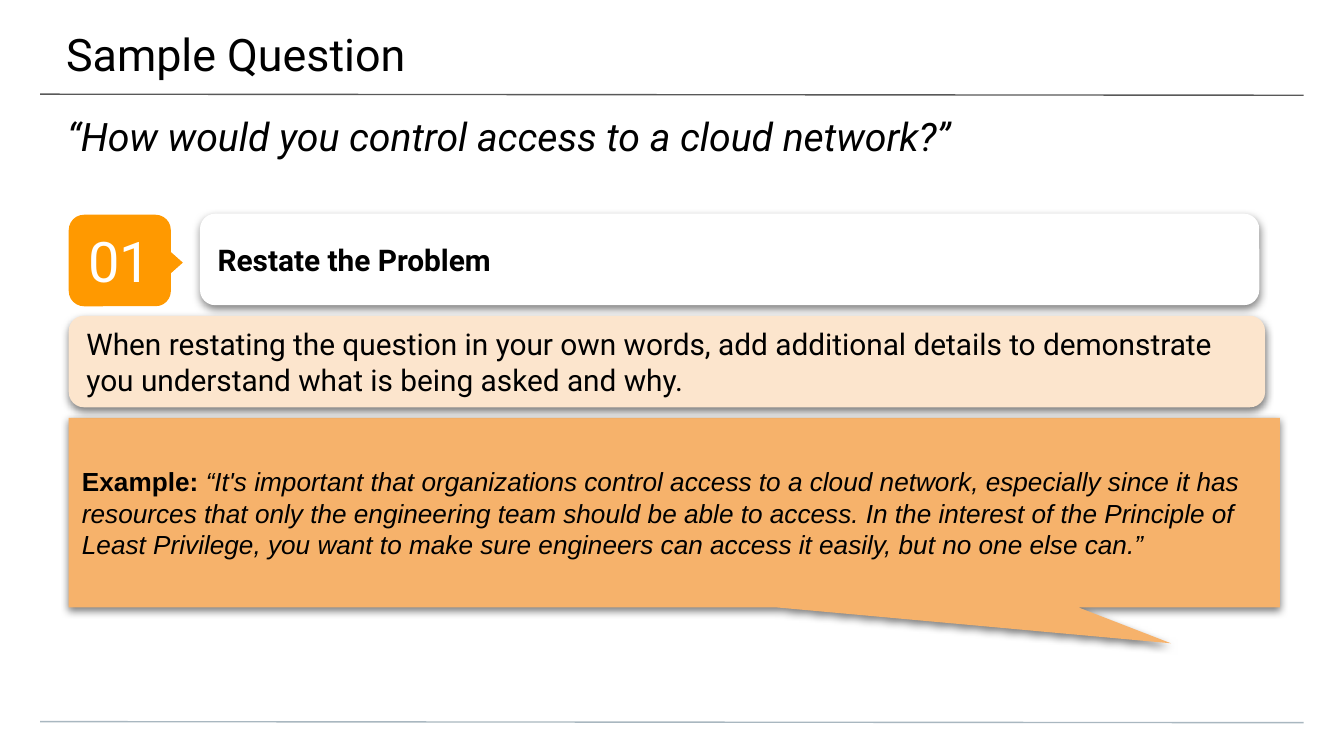
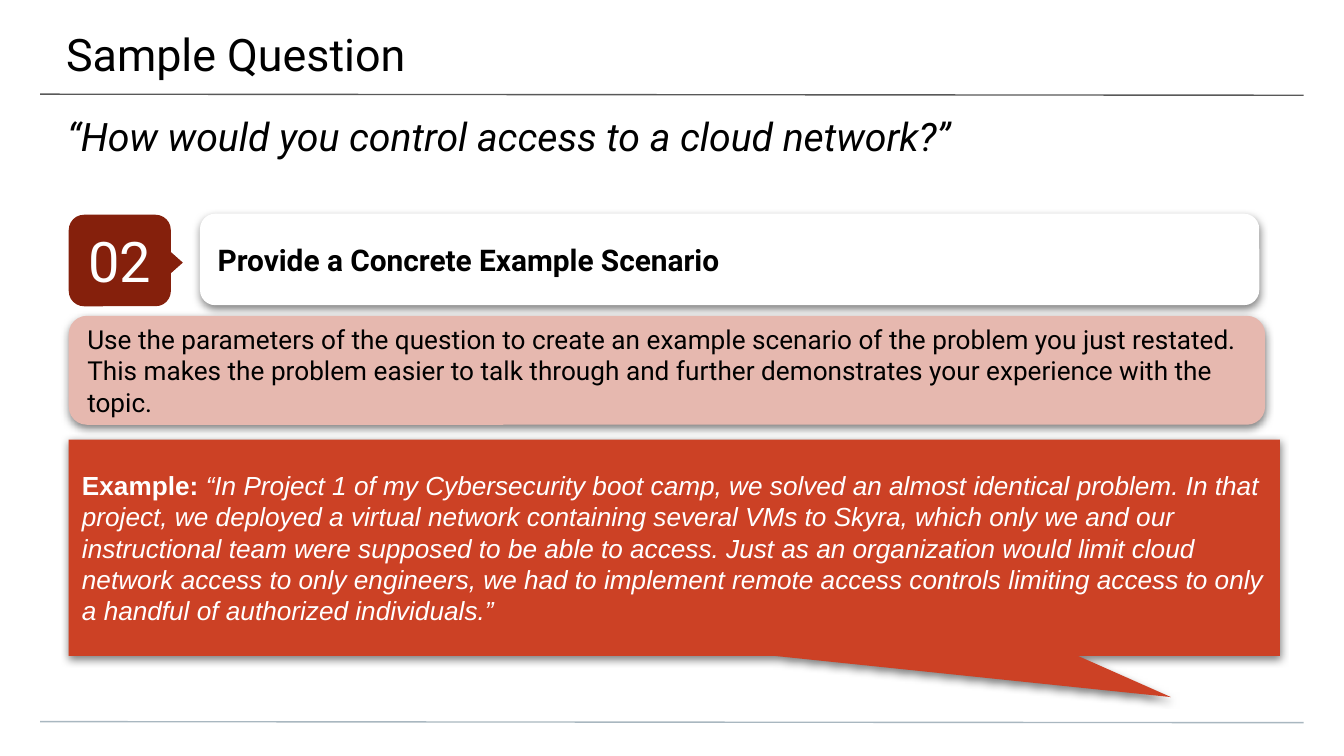
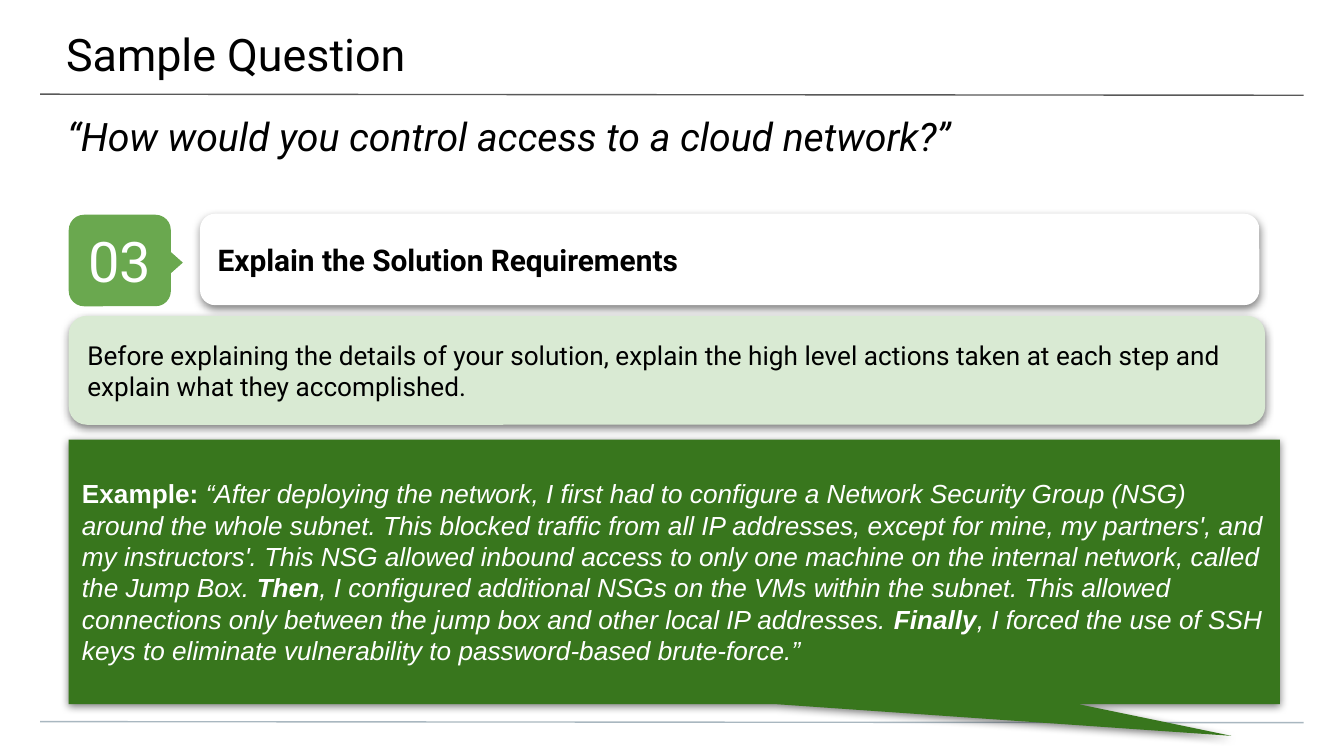
from dataclasses import dataclass
from typing import NamedTuple

from lxml.etree import SubElement
from pptx import Presentation
from pptx.dml.color import RGBColor
from pptx.enum.shapes import MSO_CONNECTOR, MSO_SHAPE
from pptx.enum.text import MSO_ANCHOR, PP_ALIGN
from pptx.oxml.ns import qn
from pptx.util import Cm, Pt


@dataclass(frozen=True)
class Theme:
    heading_font: str = "Roboto"
    example_font: str = "Arial"
    black: str = "000000"
    white: str = "FFFFFF"
    title_rule: str = "595959"
    footer_rule: str = "A9B7C0"
    title_size: int = 24
    question_size: int = 21
    number_size: int = 30
    heading_size: int = 16
    example_size: int = 14
    inset: float = 0.25


THEME = Theme()
WIDTH, HEIGHT = 25.4, 14.29
LEFT = 1.3


class Box(NamedTuple):
    x: float
    y: float
    w: float
    h: float

    def cm(self):
        return [Cm(v) for v in self]


@dataclass(frozen=True)
class Step:
    number: str
    heading: str
    advice: str
    example: list
    badge_color: str
    advice_color: str
    example_color: str
    example_text: str = THEME.white
    advice_size: int = 14
    advice_h: float = 2.06
    example_top: float = 8.31
    example_h: float = 4.09
    pointer: tuple = (0.41, 0.69)


def write_text(sp, text, *, size, color=THEME.black, font=THEME.heading_font, bold=False,
               italic=False, align=PP_ALIGN.LEFT, anchor=MSO_ANCHOR.MIDDLE,
               insets=(THEME.inset,) * 4):
    """Fill sp with a string, or with (text, bold, italic) runs."""
    tf = sp.text_frame
    tf.word_wrap = True
    tf.vertical_anchor = anchor
    tf.margin_left, tf.margin_top, tf.margin_right, tf.margin_bottom = map(Cm, insets)
    p = tf.paragraphs[0]
    p.alignment = align
    runs = [(text, bold, italic)] if isinstance(text, str) else text
    for words, is_bold, is_italic in runs:
        r = p.add_run()
        r.text = words
        r.font.name, r.font.size = font, Pt(size)
        r.font.bold, r.font.italic = is_bold, is_italic
        r.font.color.rgb = RGBColor.from_string(color)


def add_shadow(sp):
    effects = sp._element.spPr.find(qn("a:effectLst"))
    shadow = SubElement(effects, qn("a:outerShdw"), blurRad=str(Pt(4.5)), dist=str(Pt(1.5)),
                        dir="5400000", algn="bl", rotWithShape="0")
    color = SubElement(shadow, qn("a:srgbClr"), val=THEME.black)
    SubElement(color, qn("a:alpha"), val="50000")


def add_panel(shapes, kind, box, fill, shadow=False):
    sp = shapes.add_shape(kind, *box.cm())
    sp.shadow.inherit = False
    sp.fill.solid()
    sp.fill.fore_color.rgb = RGBColor.from_string(fill)
    sp.line.fill.background()
    if shadow:
        add_shadow(sp)
    return sp


def add_rule(slide, y, color):
    margin = 0.76
    line = slide.shapes.add_connector(MSO_CONNECTOR.STRAIGHT, Cm(margin), Cm(y),
                                      Cm(WIDTH - margin), Cm(y + 0.02))
    line.line.color.rgb = RGBColor.from_string(color)
    line.line.width = Pt(0.75)
    SubElement(line._element.spPr, qn("a:effectLst"))


def add_header(slide, title, question):
    title_box = slide.shapes.add_textbox(*Box(0, 0, WIDTH, 1.47).cm())
    write_text(title_box, title, size=THEME.title_size, anchor=MSO_ANCHOR.TOP,
               insets=(1.25, 0.51, 0.76, 0.25))
    question_box = slide.shapes.add_textbox(*Box(0, 1.88, WIDTH, 1.47).cm())
    write_text(question_box, question, size=THEME.question_size, italic=True,
               anchor=MSO_ANCHOR.TOP, insets=(1.27, 0.25, 1.27, 0))


def add_badge(slide, box, number, color):
    """Numbered tile with a small arrow on its right edge."""
    shapes = slide.shapes.add_group_shape().shapes
    tile = add_panel(shapes, MSO_SHAPE.ROUNDED_RECTANGLE, box, color)
    write_text(tile, number, size=THEME.number_size, color=THEME.white, align=PP_ALIGN.CENTER)
    arrow_box = Box(box.x + 1.42, box.y + 0.64, 0.94, 0.53)
    add_panel(shapes, MSO_SHAPE.FLOWCHART_EXTRACT, arrow_box, color).rotation = 90


def add_heading(slide, box, text):
    sp = add_panel(slide.shapes, MSO_SHAPE.ROUNDED_RECTANGLE, box, THEME.white, shadow=True)
    write_text(sp, text, size=THEME.heading_size, bold=True)


def add_example(slide, box, step):
    sp = add_panel(slide.shapes, MSO_SHAPE.ROUNDED_RECTANGULAR_CALLOUT, box,
                   step.example_color, shadow=True)
    for i, value in enumerate((*step.pointer, 0)):
        sp.adjustments[i] = value
    write_text(sp, [("Example: ", True, False), *step.example], size=THEME.example_size,
               font=THEME.example_font, color=step.example_text)


def add_advice(slide, box, step):
    sp = add_panel(slide.shapes, MSO_SHAPE.ROUNDED_RECTANGLE, box, step.advice_color,
                   shadow=True)
    write_text(sp, step.advice, size=step.advice_size)


def add_step_slide(prs, step):
    slide = prs.slides.add_slide(prs.slide_layouts[6])
    add_rule(slide, 1.78, THEME.title_rule)
    add_rule(slide, 13.64, THEME.footer_rule)
    add_header(slide, "Sample Question", "“How would you control access to a cloud network?”")
    add_badge(slide, Box(LEFT, 4.06, 1.93, 1.73), step.number, step.badge_color)
    add_heading(slide, Box(3.78, 4.04, 20.02, 1.73), step.heading)
    add_example(slide, Box(LEFT, step.example_top, 22.89, step.example_h), step)
    add_advice(slide, Box(LEFT, 5.97, 22.61, step.advice_h), step)


STEPS = [
    Step("01", "Restate the Problem",
         "When restating the question in your own words, add additional details to "
         "demonstrate you understand what is being asked and why.",
         [("“It's important that organizations control access to a cloud network, especially "
           "since it has resources that only the engineering team should be able to access. "
           "In the interest of the Principle of Least Privilege, you want to make sure "
           "engineers can access it easily, but no one else can.”", False, True)],
         "FF9900", "FCE5CD", "F6B26B", example_text=THEME.black, advice_size=16,
         advice_h=1.73, example_top=7.9, example_h=3.58),
    Step("02", "Provide a Concrete Example Scenario",
         "Use the parameters of the question to create an example scenario of the problem "
         "you just restated. This makes the problem easier to talk through and further "
         "demonstrates your experience with the topic.",
         [("“In Project 1 of my Cybersecurity boot camp, we solved an almost identical "
           "problem. In that project, we deployed a virtual network containing several VMs "
           "to Skyra, which only we and our instructional team were supposed to be able to "
           "access. Just as an organization would limit cloud network access to only "
           "engineers, we had to implement remote access controls limiting access to only "
           "a handful of authorized individuals.”", False, True)],
         "85200C", "E6B8AF", "CC4125"),
    Step("03", "Explain the Solution Requirements",
         "Before explaining the details of your solution, explain the high level actions "
         "taken at each step and explain what they accomplished.",
         [("“After deploying the network, I first had to configure a Network Security Group "
           "(NSG) around the whole subnet. This blocked traffic from all IP addresses, "
           "except for mine, my partners', and my instructors'. This NSG allowed inbound "
           "access to only one machine on the internal network, called the Jump Box. ",
           False, True),
          ("Then", True, True),
          (", I configured additional NSGs on the VMs within the subnet. This allowed "
           "connections only between the jump box and other local IP addresses. ",
           False, True),
          ("Finally", True, True),
          (", I forced the use of SSH keys to eliminate vulnerability to password-based "
           "brute-force.”", False, True)],
         "6AA84F", "D9EAD3", "38761D", example_h=5, pointer=(0.46, 0.62)),
]


def main():
    prs = Presentation()
    prs.slide_width, prs.slide_height = Cm(WIDTH), Cm(HEIGHT)
    for step in STEPS:
        add_step_slide(prs, step)
    prs.save("out.pptx")


if __name__ == "__main__":
    main()
